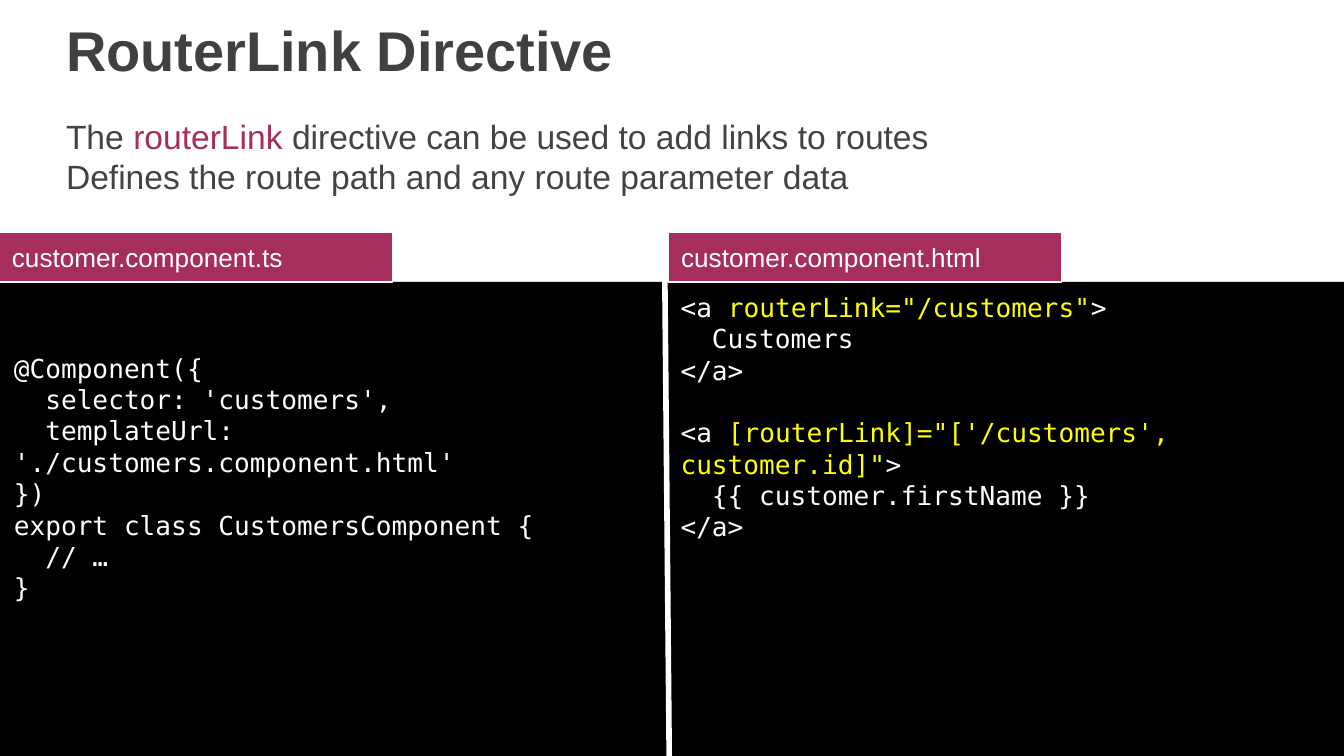
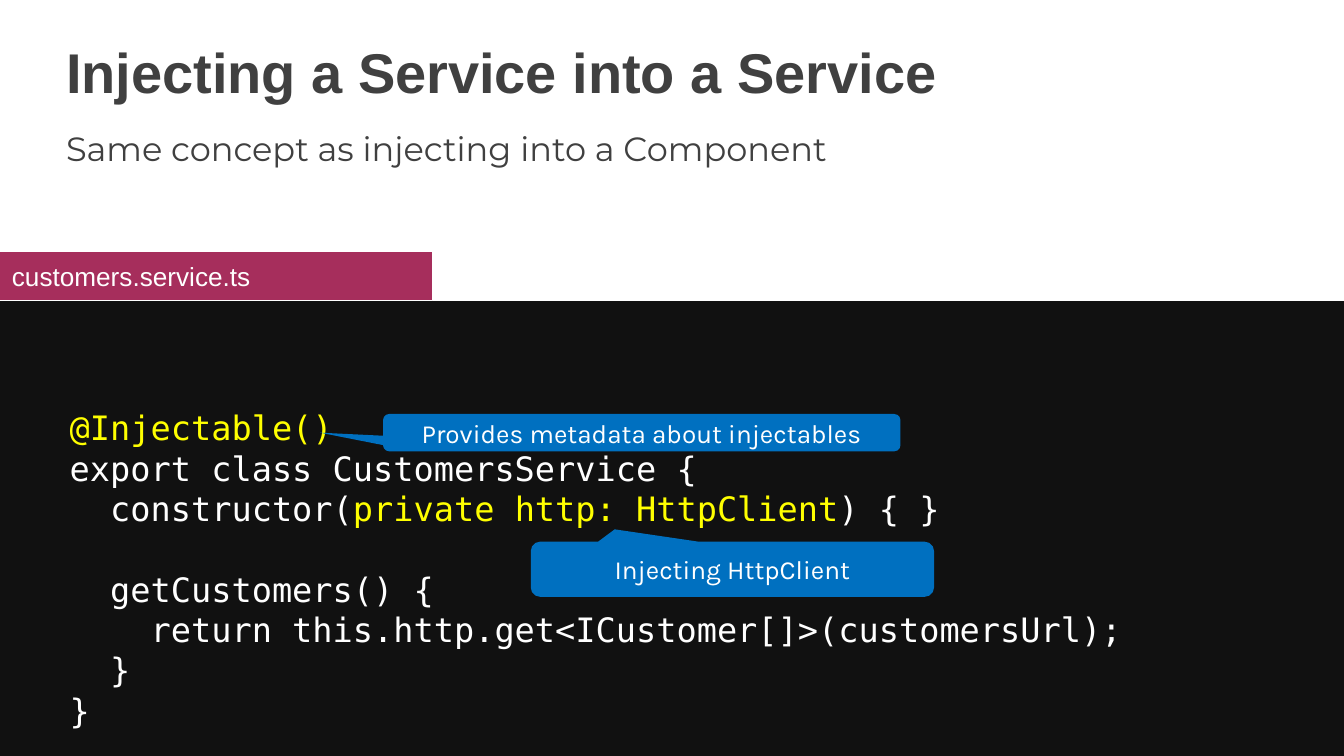
import pptx
import pptx.util
import pptx.dml.color
import pptx.enum.shapes
import pptx.enum.text
import lxml.etree

Pt = pptx.util.Pt
RGBColor = pptx.dml.color.RGBColor
SHAPES = pptx.enum.shapes.MSO_SHAPE
ANCHOR = pptx.enum.text.MSO_ANCHOR
ALIGN = pptx.enum.text.PP_ALIGN

COLORS = {
    "white": "FFFFFF", "black": "000000", "panel": "111111", "title": "404040",
    "body": "434343", "accent": "A62E5C", "highlight": "FFFF00", "callout": "0070C0",
}

# Shared text styles: font, frame insets (left, top, right, bottom), paragraph
STYLES = {
    "title": {"font": {"name": "Arial", "size": Pt(30), "bold": True}, "color": "title",
              "insets": (0, 3, 5, 3), "anchor": ANCHOR.MIDDLE,
              "paragraph": {"line_spacing": 0.85}},
    "body": {"font": {"name": "Arial", "size": Pt(18)}, "color": "body",
             "insets": (0, 0, 0, 0), "anchor": ANCHOR.TOP, "paragraph": {}},
    "subtitle": {"font": {"name": "Montserrat", "size": Pt(18)}, "color": "title",
                 "insets": (0, 0, 0, 0), "anchor": ANCHOR.TOP, "paragraph": {}},
    "tab": {"font": {"name": "Arial", "size": Pt(14)}, "color": "white",
            "insets": (7.2, 7.2, 7.2, 7.2), "anchor": ANCHOR.MIDDLE,
            "paragraph": {"alignment": ALIGN.LEFT}},
    "callout": {"font": {"name": "Karla", "size": Pt(14)}, "color": "white",
                "insets": (5, 3, 5, 3), "anchor": ANCHOR.MIDDLE,
                "paragraph": {"alignment": ALIGN.CENTER}},
    "code": {"font": {"name": "DejaVu Sans Mono", "size": Pt(14)}, "color": "white",
             "insets": (37.4, 0, 27.4, 15.8), "anchor": ANCHOR.BOTTOM,
             "paragraph": {"alignment": ALIGN.LEFT}},
}
STYLES["large code"] = {**STYLES["code"],
                        "font": {"name": "DejaVu Sans Mono", "size": Pt(18)}}


def write_text(shape, style_name, lines, bottom=None):
    """Write lines of text or (text, color) runs; an empty line becomes a gap."""
    style = STYLES[style_name]
    frame = shape.text_frame
    frame.word_wrap = True
    frame.vertical_anchor = style["anchor"]
    for side, inset in zip(("left", "top", "right", "bottom"), style["insets"]):
        setattr(frame, "margin_" + side, Pt(inset))
    if bottom is not None:
        frame.margin_bottom = Pt(bottom)
    paragraph, gap = None, 0
    for line in lines:
        if not line:
            gap = style["font"]["size"] * 1.2
            continue
        paragraph = frame.add_paragraph() if paragraph else frame.paragraphs[0]
        for name, value in style["paragraph"].items():
            setattr(paragraph, name, value)
        if gap:
            paragraph.space_before = Pt(round(gap / Pt(1), 1))
            gap = 0
        for text, color in [(line, style["color"])] if isinstance(line, str) else line:
            run = paragraph.add_run()
            run.text = text
            for name, value in style["font"].items():
                setattr(run.font, name, value)
            run.font.color.rgb = RGBColor.from_string(COLORS[color])


def add_box(slide, box, fill=None, kind=SHAPES.RECTANGLE, line=None):
    """Add a plain text box, or a filled shape when a fill is given."""
    box = [Pt(length) for length in box]
    if fill is None:
        return slide.shapes.add_textbox(*box)
    shape = slide.shapes.add_shape(kind, *box)
    shape.shadow.inherit = False
    shape.fill.solid()
    shape.fill.fore_color.rgb = RGBColor.from_string(COLORS[fill])
    if line:
        shape.line.color.rgb = RGBColor.from_string(COLORS[line])
        shape.line.width = Pt(0.75)
    else:
        shape.line.fill.background()
    return shape


presentation = pptx.Presentation()
presentation.slide_width, presentation.slide_height = Pt(720), Pt(405)
blank = presentation.slide_layouts[6]
router_slide = presentation.slides.add_slide(blank)
service_slide = presentation.slides.add_slide(blank)

# Code panels behind everything else
add_box(router_slide, (0, 151, 720, 257), "black")
service_panel = add_box(service_slide, (0, 161.3, 720, 245.5), "panel")
write_text(service_panel, "large code", [
    [("@Injectable()", "highlight")],
    "export class CustomersService {",
    [("  constructor(", "white"), ("private http: HttpClient", "highlight"),
     (") { }", "white")],
    "",
    "  getCustomers() {",
    "    return this.http.get<ICustomer[]>(customersUrl);",
    "  }",
    "}",
])

# Component code on the left, template code on the right
component_code = [
    "@Component({",
    "  selector: 'customers',",
    "  templateUrl: './customers.component.html'",
    "})",
    "export class CustomersComponent {",
    "  // …",
    "}",
]
template_code = [
    [("<a ", "white"), ('routerLink="/customers"', "highlight"), (">", "white")],
    "  Customers",
    "</a>",
    "",
    [("<a ", "white"), ("[routerLink]=\"['/customers', customer.id]\"", "highlight"),
     (">", "white")],
    "  {{ customer.firstName }}",
    "</a>",
]
for box, code, bottom in (
    ((-30, 150.5, 419, 255.6), component_code, 83),
    ((327.2, 151.9, 429, 255.6), template_code, 117),
):
    write_text(add_box(router_slide, box), "code", code, bottom)

# Titles and introductions
for slide, title, title_top, style_name, intro, intro_top in (
    (router_slide, "RouterLink Directive", 0, "body", [
        [("The ", "body"), ("routerLink", "accent"),
         (" directive can be used to add links to routes", "body")],
        "Defines the route path and any route parameter data"], 62),
    (service_slide, "Injecting a Service into a Service", 12, "subtitle",
     ["Same concept as injecting into a Component"], 68.5),
):
    write_text(add_box(slide, (35.4, intro_top, 643.7, 105)), style_name, intro)
    write_text(add_box(slide, (35.4, title_top, 643.7, 58.3)), "title", [title])

# Divider between the two code columns
divider = router_slide.shapes.add_connector(
    pptx.enum.shapes.MSO_CONNECTOR.STRAIGHT, Pt(356.2), Pt(150), Pt(358.6), Pt(414))
divider.line.color.rgb = RGBColor.from_string(COLORS["white"])
divider.line.width = Pt(3)
lxml.etree.SubElement(divider.element.spPr, pptx.oxml.ns.qn("a:effectLst"))

# Callouts on the service code
for box, pointer, text in (
    ((284.4, 290.2, 216, 29.5), (-0.292, -0.725), "Injecting HttpClient"),
    ((205.2, 221.8, 277.2, 20), (-0.622, 0.001), "Provides metadata about injectables"),
):
    callout = add_box(service_slide, box, "callout", SHAPES.ROUNDED_RECTANGULAR_CALLOUT)
    for index, value in enumerate((*pointer, 0.167)):
        callout.adjustments[index] = value
    write_text(callout, "callout", [text])

# File name tabs
for slide, left, top, width, file_name in (
    (router_slide, -0.7, 124.6, 211, "customer.component.ts"),
    (router_slide, 357.8, 124.6, 211, "customer.component.html"),
    (service_slide, -0.7, 134.6, 232.5, "customers.service.ts"),
):
    tab = add_box(slide, (left, top, width, 26.6), "accent", line="white")
    write_text(tab, "tab", [file_name])

presentation.save("out.pptx")
